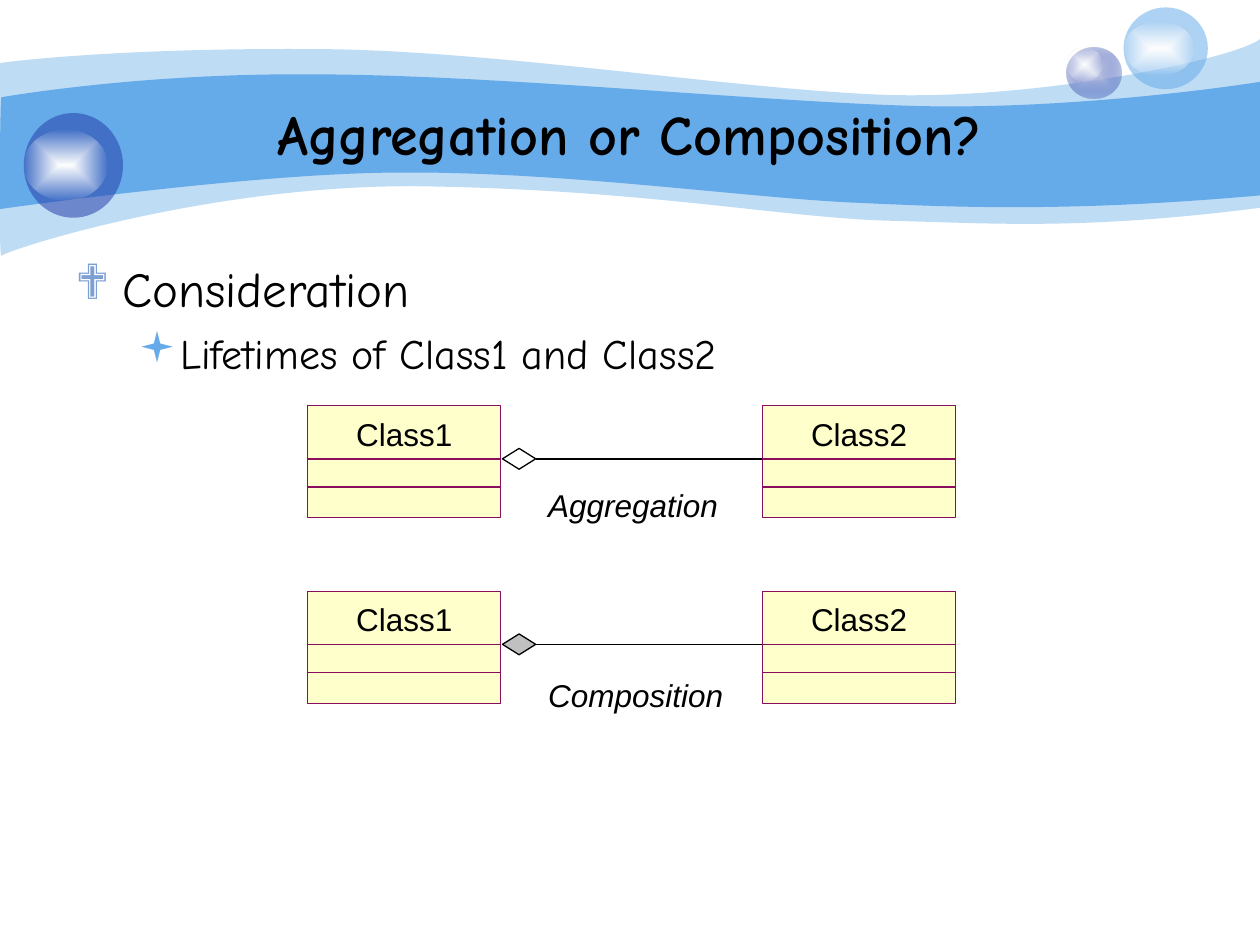
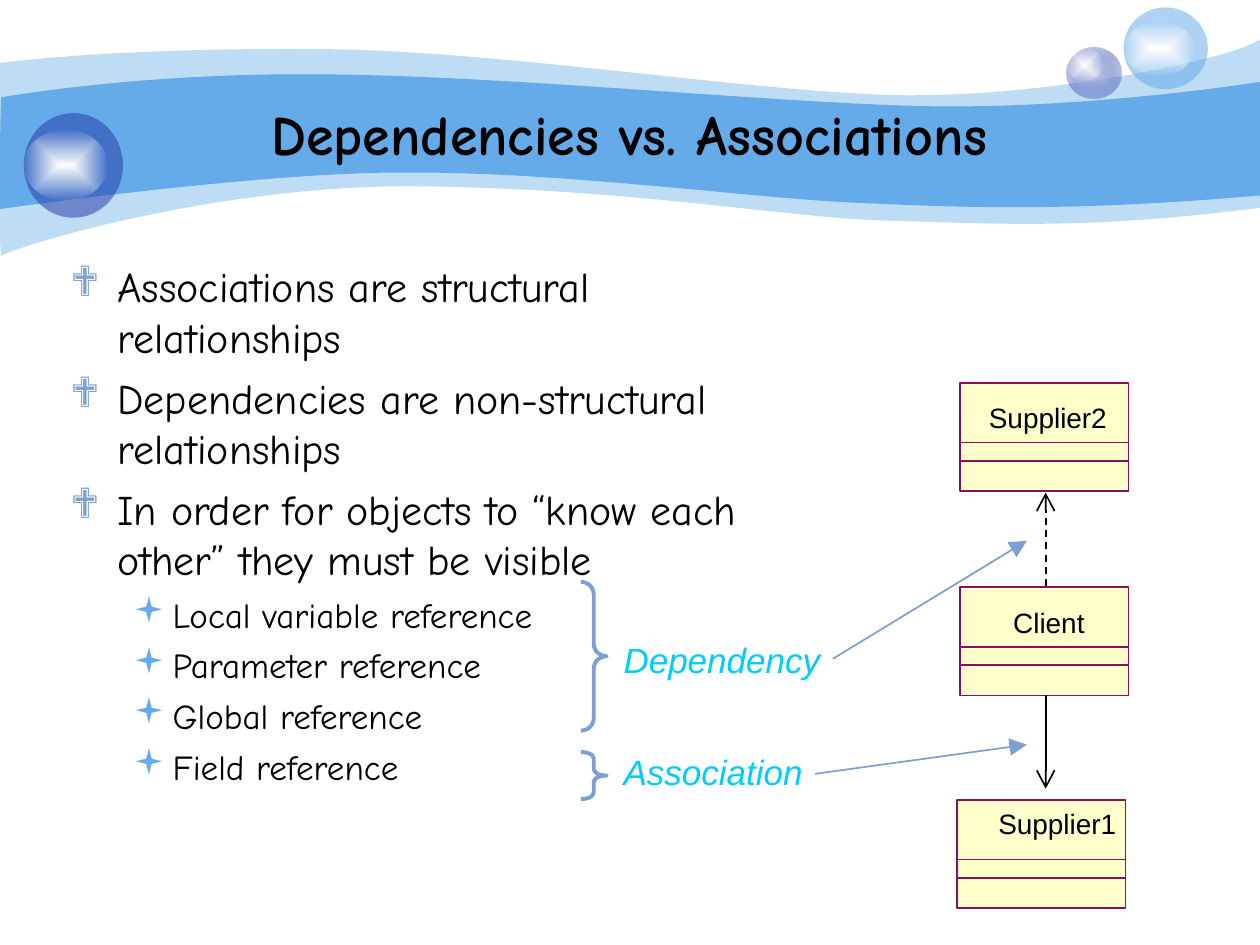
"""Build two slides on UML associations, aggregation and dependency."""
from dataclasses import dataclass

from pptx import Presentation
from pptx.dml.color import RGBColor
from pptx.enum.dml import MSO_LINE
from pptx.enum.shapes import MSO_CONNECTOR, MSO_SHAPE
from pptx.enum.text import MSO_ANCHOR, PP_ALIGN
from pptx.oxml import parse_xml
from pptx.oxml.ns import nsdecls, qn
from pptx.util import Cm, Pt

STRAIGHT = MSO_CONNECTOR.STRAIGHT
RECT, OVAL = MSO_SHAPE.RECTANGLE, MSO_SHAPE.OVAL
DIAMOND, BRACE = MSO_SHAPE.DIAMOND, MSO_SHAPE.RIGHT_BRACE
LEFT, CENTER = PP_ALIGN.LEFT, PP_ALIGN.CENTER
TOP, MIDDLE = MSO_ANCHOR.TOP, MSO_ANCHOR.MIDDLE
DASH = MSO_LINE.DASH

COLORS = {
    "black": "000000",
    "white": "FFFFFF",
    "sky": "65AAE9",
    "navy": "233DA9",
    "lilac": "C7CEE9",
    "steel": "7DA0D3",
    "cyan": "00CCFF",
    "cream": "FFFFCC",
    "plum": "8A0E5E",
    "grey": "C0C0C0",
}
HEAD_FONT, LABEL_FONT, BULLET_FONT = "Comic Neue", "Arial", "Wingdings"
BULLETS = [("❖", "steel", 0.95, -0.95), ("▪", "sky", 2.06, -0.79)]

OUTER_WAVE = [
    [(0, 1.27)],
    [(0.61, 1.19), (2.72, 0.97), (6.27, 0.99)],
    [(9.8, 0.99), (14.61, 1.78), (17.75, 1.91)],
    [(20.88, 2.03), (24.89, 1.19), (25.4, 0.79)],
    [(25.4, 4.19)],
    [(21.79, 4.65), (19.99, 4.5), (17.91, 4.45)],
    [(15.8, 4.39), (13.08, 3.84), (8.71, 3.76)],
    [(4.37, 3.66), (0.1, 5.05), (0.03, 5.16)],
    [(-0.03, 5.28), (0, 1.91), (0, 1.27)],
]
INNER_WAVE = [
    [(0.03, 1.96)],
    [(0.05, 1.96), (2.79, 1.47), (6.3, 1.5)],
    [(9.8, 1.5), (15.11, 2.03), (18.24, 2.13)],
    [(21.36, 2.24), (24.79, 1.75), (25.4, 1.65)],
    [(25.4, 3.94)],
    [(21.67, 4.27), (19.43, 4.19), (17.32, 4.09)],
    [(15.21, 4.01), (11.35, 3.45), (8.05, 3.48)],
    [(5.16, 3.48), (-0.05, 4.22), (-0.03, 4.22)],
    [(0, 4.22), (0, 1.96), (0.03, 1.96)],
]


@dataclass
class BoxStyle:
    """Measures in cm and points of one kind of class box."""
    w: float
    h: float
    dividers: tuple
    size: int
    weight: float
    name_h: float
    name_fill: str


LARGE = BoxStyle(3.89, 2.26, (1.07, 1.64), 18, 0.75, 0.76, None)
SMALL = BoxStyle(3.4, 2.18, (1.2, 1.57), 16, 1, 0.69, "cream")


def rgb(name):
    """Return the named colour."""
    return RGBColor.from_string(COLORS[name])


def cms(values):
    """Convert a sequence of centimetres to lengths."""
    return [Cm(v) for v in values]


def paint(sp, fill=None, line=None, weight=0.75, alpha=None):
    """Set fill, outline and opacity of a shape, without shadow."""
    sp.shadow.inherit = False
    if fill:
        sp.fill.solid()
        sp.fill.fore_color.rgb = rgb(fill)
    else:
        sp.fill.background()
    if alpha:
        clr = sp.element.spPr.find(qn("a:solidFill"))[0]
        clr.append(parse_xml(f'<a:alpha {nsdecls("a")} val="{alpha * 1000}"/>'))
    if line:
        sp.line.color.rgb = rgb(line)
        sp.line.width = Pt(weight)
    else:
        sp.line.fill.background()


def add_shape(s, kind, at, **look):
    """Add a painted preset shape."""
    sp = s.shapes.add_shape(kind, *cms(at))
    paint(sp, **look)
    return sp


def add_glow(s, at, inner, outer, alpha):
    """Add an ellipse that fades from its centre to its edge."""
    sp = add_shape(s, OVAL, at)
    spPr = sp.element.spPr
    grad = parse_xml(
        f'<a:gradFill {nsdecls("a")} rotWithShape="1"><a:gsLst>'
        f'<a:gs pos="0"><a:srgbClr val="{COLORS[inner]}"/></a:gs>'
        f'<a:gs pos="100000"><a:srgbClr val="{COLORS[outer]}">'
        f'<a:alpha val="{alpha * 1000}"/></a:srgbClr></a:gs></a:gsLst>'
        '<a:path path="rect"><a:fillToRect l="50000" t="50000" r="50000" b="50000"/>'
        '</a:path></a:gradFill>')
    spPr.replace(spPr.find(qn("a:noFill")), grad)


def add_wave(s, segments, alpha=None):
    """Add a wavy band, turning each three-point segment into a cubic curve."""
    points = [cms(pt) for seg in segments for pt in seg]
    fb = s.shapes.build_freeform(*points[0])
    fb.add_line_segments(points[1:], close=True)
    sp = fb.convert_to_shape()
    lines = iter(list(sp.element.spPr.iter(qn("a:lnTo"))))
    for seg in segments[1:]:
        group = [next(lines) for _ in seg]
        if len(group) == 3:
            curve = parse_xml(f'<a:cubicBezTo {nsdecls("a")}/>')
            group[0].addprevious(curve)
            for ln in group:
                curve.append(ln[0])
                ln.getparent().remove(ln)
    paint(sp, "sky", alpha=alpha)


def add_line(s, start, end, color="black", weight=0.75, tail=None, dash=None):
    """Add a straight line, with an arrowhead at its end if asked."""
    cx = s.shapes.add_connector(STRAIGHT, *cms(start), *cms(end))
    cx.line.color.rgb = rgb(color)
    cx.line.width = Pt(weight)
    if dash:
        cx.line.dash_style = dash
    spPr = cx.element.spPr
    if tail:
        spPr.find(qn("a:ln")).append(parse_xml(
            f'<a:tailEnd {nsdecls("a")} type="{tail}" w="lg" len="lg"/>'))
    spPr.append(parse_xml(f'<a:effectLst {nsdecls("a")}/>'))


def add_run(p, text, size, font, color="black", bold=False, italic=False):
    """Add one formatted run to a paragraph."""
    r = p.add_run()
    r.text = text
    r.font.size, r.font.name = Pt(size), font
    r.font.bold, r.font.italic = bold, italic
    r.font.color.rgb = rgb(color)


def add_frame(s, at, margins=(0.25, 0.13), wrap=True, anchor=TOP, fill=None):
    """Add an empty text box and return its text frame."""
    sp = s.shapes.add_textbox(*cms(at))
    if fill:
        paint(sp, fill)
    tf = sp.text_frame
    tf.word_wrap, tf.vertical_anchor = wrap, anchor
    tf.margin_left = tf.margin_right = Cm(margins[0])
    tf.margin_top = tf.margin_bottom = Cm(margins[1])
    return tf


def add_text(s, at, text, size, font, align=LEFT, frame=None, **look):
    """Add a text box with a single run."""
    p = add_frame(s, at, **(frame or {})).paragraphs[0]
    p.alignment = align
    add_run(p, text, size, font, **look)


def add_label(s, at, text, size, color="black"):
    """Add an italic caption of a relationship."""
    add_text(s, at, text, size, LABEL_FONT, color=color, italic=True)


def add_bullets(s, at, items, sizes, gaps, margins=(0.25, 0.13)):
    """Add a bulleted list of (level, text) items."""
    tf = add_frame(s, at, margins)
    for i, (level, text) in enumerate(items):
        p = tf.add_paragraph() if i else tf.paragraphs[0]
        p.level, p.space_before = level, Pt(gaps[level])
        char, color, margin, indent = BULLETS[level]
        pPr = p._p.get_or_add_pPr()
        pPr.set("marL", str(Cm(margin)))
        pPr.set("indent", str(Cm(indent)))
        for tag in (f'buClr {nsdecls("a")}><a:srgbClr val="{COLORS[color]}"/></a:buClr',
                    f'buFont {nsdecls("a")} typeface="{BULLET_FONT}"/',
                    f'buChar {nsdecls("a")} char="{char}"/'):
            pPr.append(parse_xml(f"<a:{tag}>"))
        add_run(p, text, sizes[level], HEAD_FONT)


def add_class(s, name, x, y, style, name_x, name_y, name_w):
    """Add a UML class box with its name and two dividers."""
    add_shape(s, RECT, (x, y, style.w, style.h),
              fill="cream", line="plum", weight=style.weight)
    for dy in style.dividers:
        add_line(s, (x, y + dy), (x + style.w, y + dy), "plum", style.weight)
    add_text(s, (x + name_x, y + name_y, name_w, style.name_h), name, style.size,
             LABEL_FONT, CENTER,
             {"margins": (0, 0), "wrap": False, "fill": style.name_fill})


def add_brace(s, y, h, curve):
    """Add a right brace beside the list."""
    sp = add_shape(s, BRACE, (11.71, y, 0.52, h), line="steel", weight=2.25)
    sp.adjustments[0] = curve


def add_slide(prs, title):
    """Add a slide with the wavy bands, bubbles and title."""
    s = prs.slides.add_slide(prs.slide_layouts[6])
    add_wave(s, OUTER_WAVE, alpha=41)
    add_wave(s, INNER_WAVE)
    add_glow(s, (21.51, 0.95, 1.1, 1.03), "lilac", "navy", 31)
    add_glow(s, (21.51, 0.95, 0.71, 0.69), "white", "white", 0)
    for bubble, shine, color in (
            ((22.65, 0.15, 1.7, 1.65), (22.65, 0.43, 1.42, 1.09), "sky"),
            ((0.48, 2.28, 2, 2.11), (0.48, 2.62, 1.68, 1.42), "navy")):
        add_shape(s, OVAL, bubble, fill=color, alpha=53)
        add_glow(s, shine, "white", "white", 0)
    add_text(s, (0, 1.9, 25.4, 1.57), title, 32, HEAD_FONT, CENTER,
             {"anchor": MIDDLE}, bold=True)
    return s


def add_whole_part(s, y, label, label_y, diamond):
    """Add two classes joined by a line with a diamond."""
    axis = y + LARGE.dividers[0]
    add_label(s, (10.8, label_y, 5, 1.02), label, 18)
    add_line(s, (10.8, axis), (15.4, axis))
    add_shape(s, DIAMOND, (10.13, axis - 0.21, 0.67, 0.42), fill=diamond, line="black")
    for name, x in (("Class1", 6.2), ("Class2", 15.37)):
        add_class(s, name, x, y, LARGE, 0.9, 0.18, 2.1)


def build_aggregation(prs):
    """Build the slide on aggregation and composition."""
    s = add_slide(prs, "Aggregation or Composition?")
    add_bullets(s, (1.27, 5.08, 22.86, 12.5),
                [(0, "Consideration"), (1, "Lifetimes of Class1 and Class2")],
                (28, 24), (7, 6))
    add_whole_part(s, 8.18, "Aggregation", 9.66, None)
    add_whole_part(s, 11.92, "Composition", 13.5, "grey")


def build_dependencies(prs):
    """Build the slide on dependencies and associations."""
    s = add_slide(prs, "Dependencies vs. Associations")
    add_bullets(s, (1.12, 5.11, 15.65, 12.42), [
        (0, "Associations are structural relationships"),
        (0, "Dependencies are non-structural relationships"),
        (0, "In order for objects to “know each other” they must be visible"),
        (1, "Local variable reference"),
        (1, "Parameter reference"),
        (1, "Global reference"),
        (1, "Field reference"),
    ], (24, 20), (6, 5), (0.3, 0.15))
    add_brace(s, 11.73, 3, 0.48)
    add_brace(s, 15.16, 0.95, 0.24)
    for label, y, start, end in (
            ("Dependency", 12.75, (16.79, 13.28), (20.7, 10.9)),
            ("Association", 14.99, (16.43, 15.6), (20.7, 15.01))):
        add_label(s, (12.32, y, 5.1, 1.12), label, 20, "cyan")
        add_line(s, start, end, "steel", 1, "triangle")
    add_class(s, "Supplier2", 19.35, 7.72, SMALL, 0.58, 0.36, 2.39)
    add_class(s, "Client", 19.35, 11.84, SMALL, 1.07, 0.36, 1.45)
    add_class(s, "Supplier1", 19.29, 16.13, SMALL, 0.83, 0.13, 2.39)
    add_line(s, (21.08, 11.81), (21.08, 9.93), weight=1, tail="arrow", dash=DASH)
    add_line(s, (21.08, 14.02), (21.08, 15.9), weight=1, tail="arrow")


def main():
    """Build and save the presentation."""
    prs = Presentation()
    prs.slide_width, prs.slide_height = Cm(25.4), Cm(19.05)
    build_aggregation(prs)
    build_dependencies(prs)
    prs.save("out.pptx")


if __name__ == "__main__":
    main()
